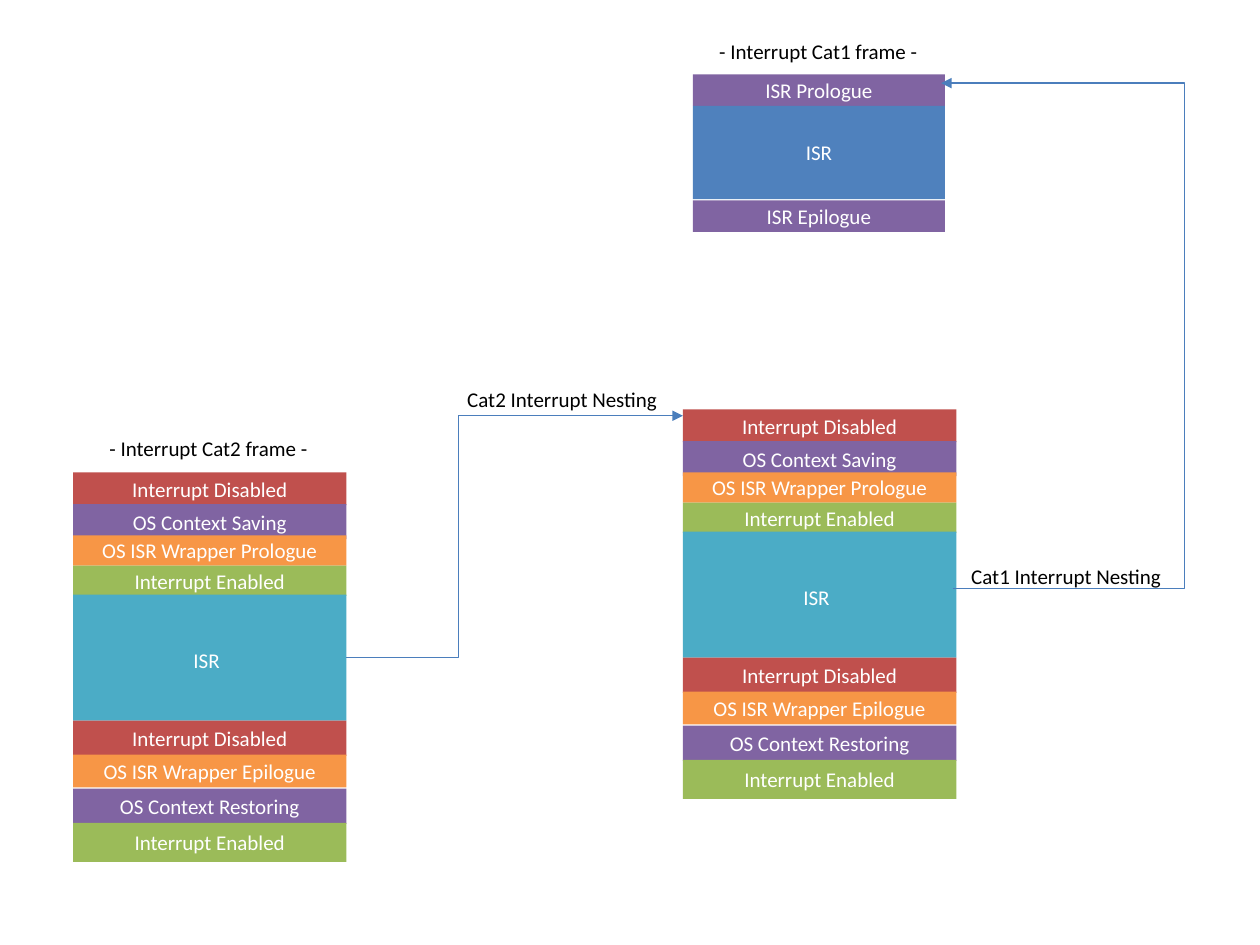
from lxml.etree import SubElement
from pptx import Presentation
from pptx.dml.color import RGBColor
from pptx.enum.shapes import MSO_CONNECTOR, MSO_SHAPE
from pptx.enum.text import MSO_ANCHOR, MSO_AUTO_SIZE, PP_ALIGN
from pptx.oxml.ns import qn
from pptx.util import Inches, Pt


def color(value):
    return RGBColor.from_string(value)


def add_run(p, text, size, font_color):
    r = p.add_run()
    r.text = text
    font_format = {"name": "Calibri", "size": Pt(size)}
    for name, value in font_format.items():
        setattr(r.font, name, value)
    r.font.color.rgb = color(font_color)


RED, GREEN, PURPLE, ORANGE = "C0504D", "9BBB59", "8064A2", "F79646"
TEAL, BLUE, LINE = "4BACC6", "4F81BD", "4B7EBC"

prs = Presentation()
prs.slide_width, prs.slide_height = Inches(10), Inches(7.5)
s = prs.slides.add_slide(prs.slide_layouts[6])

# Blocks of each frame: text, offset from the frame top, height, fill
cat2_blocks = [
    ("Interrupt Disabled", 0, 0.26, RED),
    ("OS Context Saving", 0.25, 0.28, PURPLE),
    ("OS ISR Wrapper Prologue", 0.5, 0.24, ORANGE),
    ("Interrupt Enabled", 0.74, 0.24, GREEN),
    ("ISR", 0.97, 1, TEAL),
    ("Interrupt Disabled", 1.97, 0.28, RED),
    ("OS ISR Wrapper Epilogue", 2.24, 0.26, ORANGE),
    ("OS Context Restoring", 2.51, 0.28, PURPLE),
    ("Interrupt Enabled", 2.78, 0.31, GREEN),
]
cat1_blocks = [
    ("ISR Prologue", 0, 0.25, PURPLE),
    ("ISR", 0.25, 0.74, BLUE),
    ("ISR Epilogue", 1, 0.25, PURPLE),
]

# Stacked frames, one group each
frames = [
    (0.58, 3.75, 2.17, cat2_blocks),
    (5.42, 3.25, 2.17, cat2_blocks),
    (5.5, 0.59, 2, cat1_blocks),
]
for left, top, width, blocks in frames:
    group = s.shapes.add_group_shape()
    for text, offset, height, fill in blocks:
        sp = group.shapes.add_shape(MSO_SHAPE.RECTANGLE, Inches(left), Inches(top + offset),
                                    Inches(width), Inches(height))
        sp.shadow.inherit = False
        sp.fill.solid()
        sp.fill.fore_color.rgb = color(fill)
        sp.line.fill.background()
        tf = sp.text_frame
        tf.vertical_anchor = MSO_ANCHOR.MIDDLE
        p = tf.paragraphs[0]
        p.alignment = PP_ALIGN.CENTER
        add_run(p, text, 12, "FFFFFF")
        if fill == TEAL:
            add_run(p, " ", 16, "FFFFFF")

# Nesting arrows: start, end, x of the vertical part
arrows = [
    (2.75, 5.22, 5.42, 3.3, 3.64),
    (7.56, 4.67, 7.47, 0.66, 9.4),
]
for x1, y1, x2, y2, bend in arrows:
    arrow = s.shapes.add_connector(MSO_CONNECTOR.ELBOW, Inches(x1), Inches(y1),
                                   Inches(x2), Inches(y2))
    arrow.line.color.rgb = color(LINE)
    arrow.line.width = Pt(0.75)
    props = arrow._element.spPr
    SubElement(props.find(qn("a:ln")), qn("a:tailEnd"), type="triangle")
    SubElement(props, qn("a:effectLst"))
    ratio = round((bend - x1) / (x2 - x1) * 100000)
    guides = props.find(qn("a:prstGeom")).get_or_add_avLst()
    SubElement(guides, qn("a:gd"), name="adj1", fmla=f"val {ratio}")

# Captions
captions = [
    ("- Interrupt Cat2 frame -", 0.77, 3.41, 1.79),
    ("- Interrupt Cat1 frame -", 5.61, 0.26, 1.79),
    ("Cat2 Interrupt Nesting", 3.61, 3.02, 1.72),
    ("Cat1 Interrupt Nesting", 7.61, 4.42, 1.72),
]
for text, left, top, width in captions:
    tf = s.shapes.add_textbox(Inches(left), Inches(top), Inches(width), Inches(0.3)).text_frame
    tf.word_wrap = False
    tf.auto_size = MSO_AUTO_SIZE.SHAPE_TO_FIT_TEXT
    add_run(tf.paragraphs[0], text, 12, "000000")

prs.save("out.pptx")
